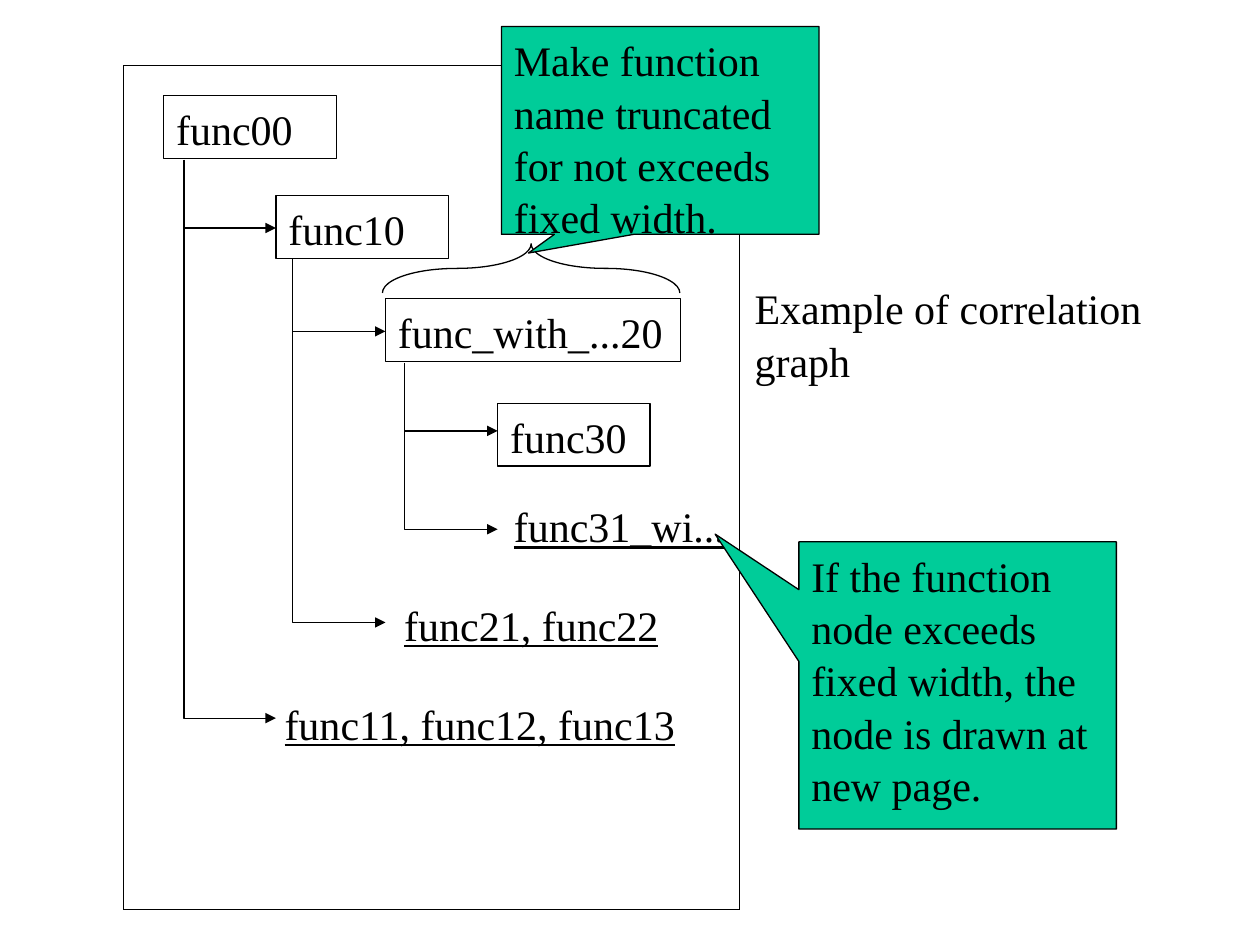
import pptx
import pptx.dml.color
import pptx.enum.shapes
import pptx.enum.text
import pptx.oxml.ns
import pptx.util
from lxml import etree

SHAPE = pptx.enum.shapes.MSO_SHAPE
CONNECTOR = pptx.enum.shapes.MSO_CONNECTOR
AUTO_SIZE = pptx.enum.text.MSO_AUTO_SIZE
qn = pptx.oxml.ns.qn

PX = pptx.util.Inches(1) // 100  # 100 px to the inch
INK = "000000"
GREEN = "00CC99"


def rgb(value):
    return pptx.dml.color.RGBColor.from_string(value)


class Diagram:
    font = "Times New Roman"
    size = pptx.util.Pt(24)
    line_width = pptx.util.Pt(0.75)

    def __init__(self, slide):
        self.shapes = slide.shapes

    def stroke(self, sp):
        sp.line.color.rgb = rgb(INK)
        sp.line.width = self.line_width

    def set_text(self, sp, text, underline=None, wrap=True, grow=True):
        tf = sp.text_frame
        tf.word_wrap = wrap
        tf.auto_size = AUTO_SIZE.SHAPE_TO_FIT_TEXT if grow else AUTO_SIZE.NONE
        tf.vertical_anchor = pptx.enum.text.MSO_ANCHOR.TOP
        p = tf.paragraphs[0]
        p.text = text
        p.alignment = pptx.enum.text.PP_ALIGN.LEFT
        p.line_spacing = 1.04
        p.font.name = self.font
        p.font.size = self.size
        p.font.color.rgb = rgb(INK)
        p.font.underline = underline

    def shape(self, kind, x, y, w, h, fill=None):
        sp = self.shapes.add_shape(kind, x * PX, y * PX, w * PX, h * PX)
        sp.shadow.inherit = False
        if fill:
            sp.fill.solid()
            sp.fill.fore_color.rgb = rgb(fill)
        else:
            sp.fill.background()
        self.stroke(sp)
        return sp

    def node(self, text, x, y, w):
        self.set_text(self.shape(SHAPE.RECTANGLE, x, y, w, 50), text)

    def label(self, text, x, y, w, underline=None, wrap=True):
        sp = self.shapes.add_textbox(x * PX, y * PX, w * PX, 50 * PX)
        self.set_text(sp, text, underline, wrap)

    def callout(self, text, x, y, w, h, tip):
        sp = self.shape(SHAPE.RECTANGULAR_CALLOUT, x, y, w, h, GREEN)
        sp.adjustments[0], sp.adjustments[1] = tip
        self.set_text(sp, text, grow=False)

    def brace(self, x, y, w, h):
        """Left brace turned to span the width h, centred on the box."""
        sp = self.shape(SHAPE.LEFT_BRACE, x, y, w, h)
        sp.adjustments[0] = 1.5
        sp.rotation = 90

    def connector(self, kind, x1, y1, x2, y2):
        c = self.shapes.add_connector(
            kind, *(round(v * PX) for v in (x1, y1, x2, y2)))
        self.stroke(c)
        etree.SubElement(c._element.spPr, qn("a:effectLst"))
        return c

    def line(self, x1, y1, x2, y2):
        self.connector(CONNECTOR.STRAIGHT, x1, y1, x2, y2)

    def branch(self, x1, y1, x2, y2):
        """Arrow going down, then right: a one-bend elbow, turned and flipped."""
        cx, cy = (x1 + x2) / 2, (y1 + y2) / 2
        half_w, half_h = (y2 - y1) / 2, (x2 - x1) / 2
        c = self.connector(CONNECTOR.ELBOW, cx + half_w, cy - half_h,
                           cx - half_w, cy + half_h)
        spPr = c._element.spPr
        spPr.find(qn("a:xfrm")).set("rot", str(270 * 60000))
        spPr.find(qn("a:prstGeom")).set("prst", "bentConnector2")
        etree.SubElement(spPr.find(qn("a:ln")), qn("a:tailEnd"), type="triangle")


def main():
    prs = pptx.Presentation()
    prs.slide_width, prs.slide_height = 1000 * PX, 750 * PX
    d = Diagram(prs.slides.add_slide(prs.slide_layouts[6]))

    # Page frame
    left, top, right, bottom = 98, 52, 587, 722
    corners = [(left, top), (left, bottom), (right, bottom), (right, top)]
    for start, end in zip(corners, corners[1:] + corners[:1]):
        d.line(*start, *end)

    # Function nodes
    for node in [("func00", 130, 76, 137), ("func10", 219, 155, 137),
                 ("func_with_...20", 306, 237, 234), ("func30", 395, 320, 121)]:
        d.node(*node)

    # Functions drawn on other pages
    for label in [("func31_wi...", 398, 391, 189), ("func21, func22", 311, 469, 268),
                  ("func11, func12, func13", 216, 548, 339)]:
        d.label(*label, underline=True)
    d.label("Example of correlation graph", 589, 218, 411, wrap=False)

    # Call branches: trunk x, trunk top, arrow x, arrow heights
    for x, y, end_x, ends in [(146, 127, 219, (181, 570)),
                              (232, 205, 306, (263, 494)),
                              (321, 288, 395, (342, 420))]:
        for end_y in ends:
            d.branch(x, y, end_x, end_y)

    # Brace over the truncated name, and remarks
    d.brace(402, 95, 39, 236)
    d.callout("Make function name truncated for not exceeds fixed width.",
              398, 21, 252, 165, (-0.415, 0.59))
    d.callout("If the function node exceeds fixed width, the node is drawn at new page.",
              634, 430, 252, 228, (-0.764, -0.527))

    prs.save("out.pptx")


if __name__ == "__main__":
    main()
